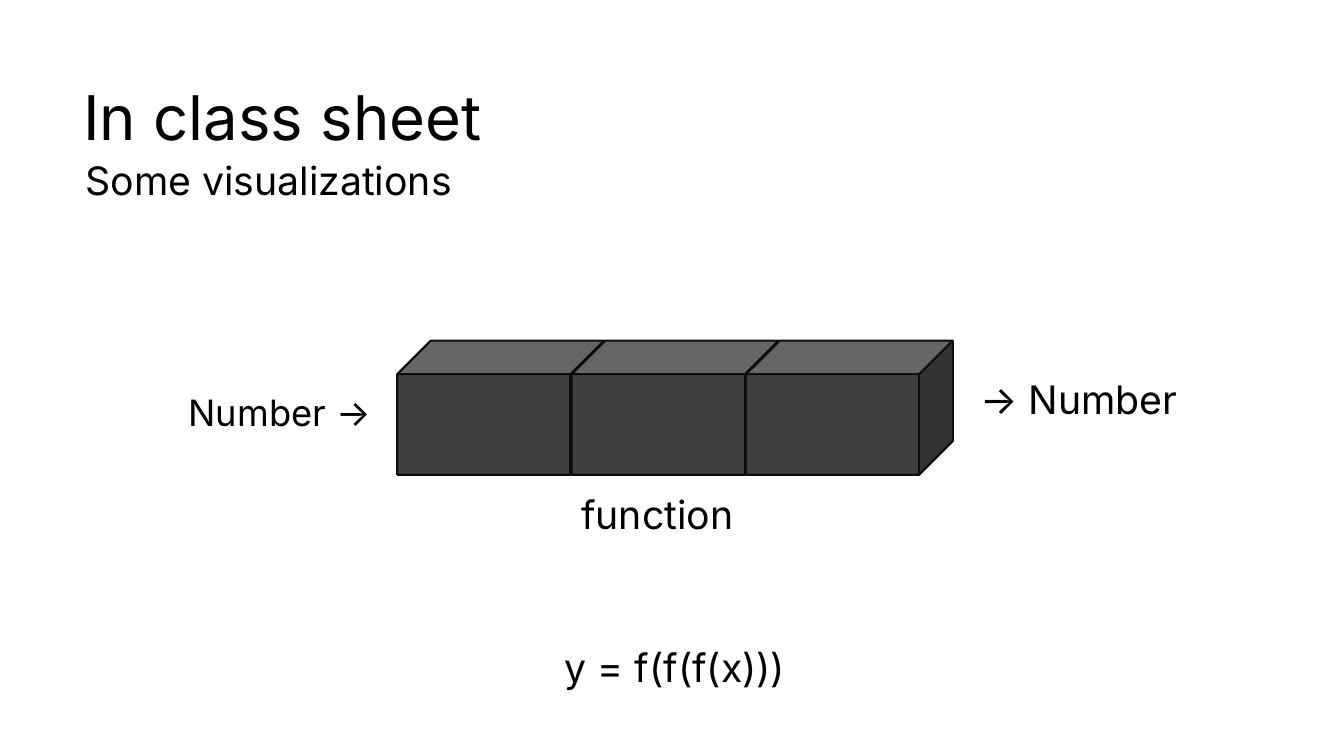
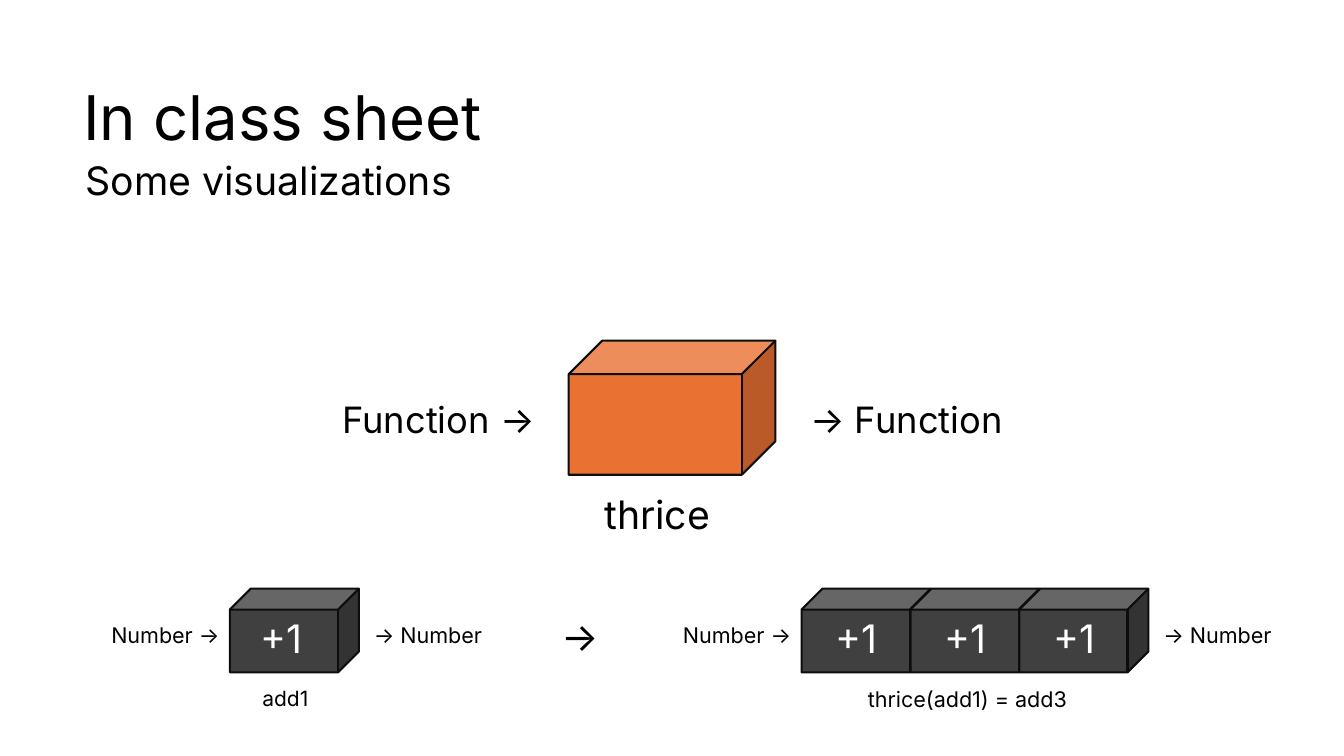
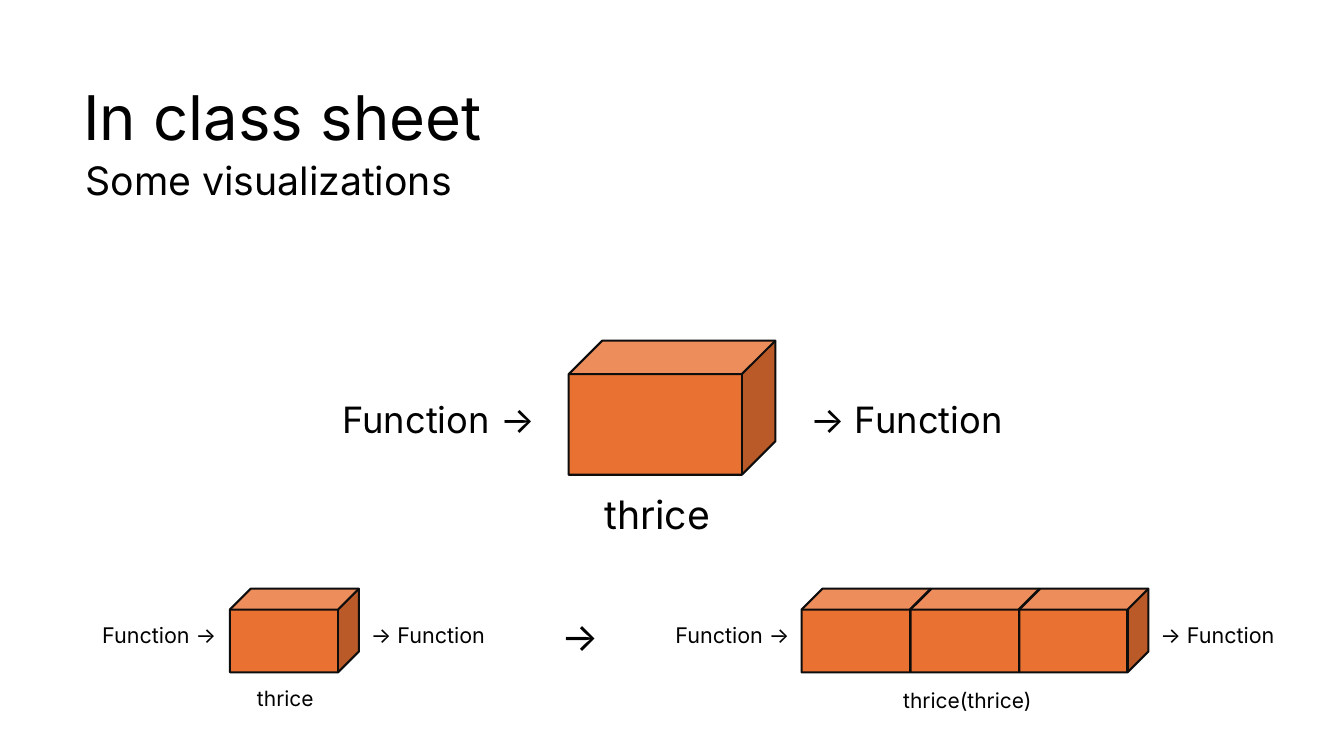
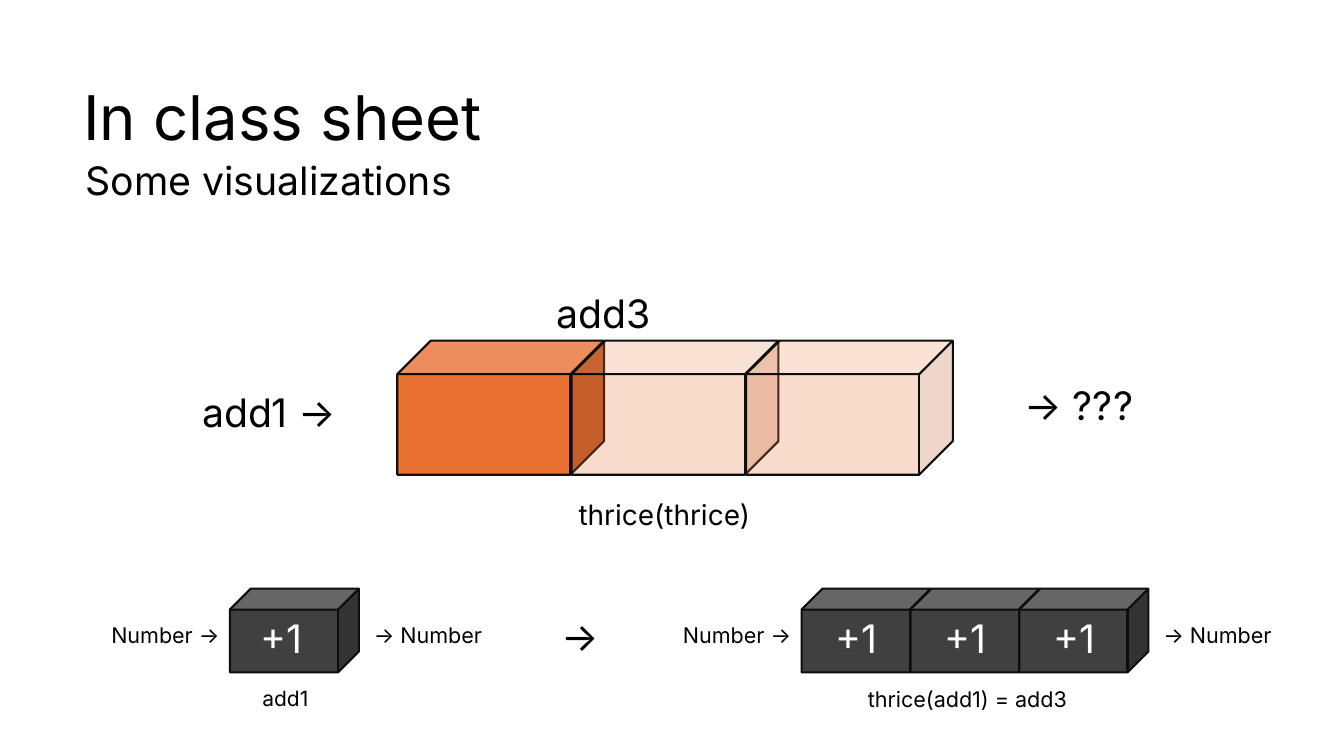
from dataclasses import dataclass
from typing import NamedTuple

from lxml import etree
from pptx import Presentation, slide as sl
from pptx.dml.color import RGBColor
from pptx.enum import shapes, text
from pptx.oxml import ns
from pptx.util import Inches, Pt


@dataclass(frozen=True)
class Theme:
    font: str = "Inter"
    paper: str = "FFFFFF"
    ink: str = "000000"
    edge: str = "0D0D0D"
    dark: str = "404040"
    orange: str = "E97132"
    title: float = 44
    large: float = 28
    body: float = 25.9
    mid: float = 20
    small: float = 15.4
    name: float = 15
    loose: float = 0.9
    tight: float = 0.7
    border: float = 1.5


LOOK = Theme()


class Box(NamedTuple):
    left: float
    top: float
    width: float
    height: float


@dataclass(frozen=True)
class Label:
    words: str
    box: Box
    size: float
    space: float = LOOK.loose
    color: str = LOOK.ink
    center: bool = True


@dataclass(frozen=True)
class Block:
    top: float
    width: float
    height: float
    step: float


@dataclass(frozen=True)
class Demo:
    kind: str
    fill: str
    single: Label
    triple: Label
    left: Box
    mid: Box
    mark: str = ""


BIG = Block(3.38, 2.05, 1.33, 1.73)
MINI = Block(5.84, 1.28, 0.83, 1.08)
BIG_ROW = 3.94
BIG_ONE = 5.64
MINI_ONE = 2.28
MINI_ROW = 7.95
CAPTION = Box(BIG_ONE, 4.71, 1.76, 0.83)
ONE_NAME = Box(2.19, 6.68, 1.28, 0.52)
ROW_NAME = Box(8.4, 6.7, 2.39, 0.52)

HEAD = (
    Label("In class sheet", Box(0.73, 0.43, 11.83, 1.54), LOOK.title, center=False),
    Label("Some visualizations", Box(0.75, 1.4, 11.83, 0.83), LOOK.large, center=False),
)
ADD = Demo(
    "Number", LOOK.dark,
    Label("add1", ONE_NAME, LOOK.name),
    Label("thrice(add1) = add3", ROW_NAME, LOOK.small, LOOK.tight),
    Box(1, 6.07, 1.28, 0.52), Box(6.67, 6.07, 1.28, 0.52), "+1",
)
THRICE = Demo(
    "Function", LOOK.orange,
    Label("thrice", ONE_NAME, LOOK.name),
    Label("thrice(thrice)", ROW_NAME, LOOK.name),
    Box(0.88, 6.07, 1.4, 0.52), Box(6.58, 6.07, 1.37, 0.52),
)


def write(page: sl.Slide, *labels: Label) -> None:
    for label in labels:
        frame = page.shapes.add_textbox(*map(Inches, label.box)).text_frame
        frame.word_wrap = True
        frame.vertical_anchor = text.MSO_ANCHOR.MIDDLE
        frame.text = label.words
        para = frame.paragraphs[0]
        para.alignment = text.PP_ALIGN.CENTER if label.center else text.PP_ALIGN.LEFT
        para.line_spacing = label.space
        font = para.runs[0].font
        font.name = LOOK.font
        font.size = Pt(label.size)
        font.color.rgb = RGBColor.from_string(label.color)


def cube(page: sl.Slide, block: Block, left: float, fill: str, alpha: int = 100) -> None:
    shape = page.shapes.add_shape(
        shapes.MSO_SHAPE.CUBE,
        *map(Inches, (left, block.top, block.width, block.height)),
    )
    shape.shadow.inherit = False
    shape.fill.solid()
    shape.fill.fore_color.rgb = RGBColor.from_string(fill)
    shape.line.color.rgb = RGBColor.from_string(LOOK.edge)
    shape.line.width = Pt(LOOK.border)
    if alpha < 100:
        color = shape.element.spPr.find(ns.qn("a:solidFill"))[0]
        etree.SubElement(color, ns.qn("a:alpha"), val=str(alpha * 1000))


def row(page: sl.Slide, block: Block, left: float, fill: str,
        alphas: tuple[int, ...] = (100, 100, 100)) -> None:
    for i, alpha in enumerate(alphas):
        cube(page, block, left + i * block.step, fill, alpha)


def demo(page: sl.Slide, item: Demo) -> None:
    cube(page, MINI, MINI_ONE, item.fill)
    row(page, MINI, MINI_ROW, item.fill)
    for box in (item.left, item.mid):
        write(page, Label(f"{item.kind} ->", box, LOOK.small, LOOK.tight))
    for left in (3.56, 11.39):
        box = Box(left, 6.07, 1.37, 0.52)
        write(page, Label(f"-> {item.kind}", box, LOOK.small, LOOK.tight))
    write(page, Label("->", Box(4.65, 5.92, 2.2, 0.83), LOOK.large))
    if item.mark:
        lefts = [2.45] + [MINI_ROW + 0.2 + i * MINI.step for i in range(3)]
        for left in lefts:
            box = Box(left, 6.1, 0.69, 0.52)
            write(page, Label(item.mark, box, LOOK.large, color=LOOK.paper))
    write(page, item.single, item.triple)


def nested(page: sl.Slide) -> None:
    row(page, BIG, BIG_ROW, LOOK.dark)
    write(
        page,
        Label("function", CAPTION, LOOK.large),
        Label("Number ->", Box(1.75, 3.7, 2.05, 0.83), LOOK.body),
        Label("-> Number", Box(9.6, 3.57, 2.2, 0.83), LOOK.large),
        Label("y = f(f(f(x)))", Box(5.5, 6.23, 2.39, 0.83), LOOK.large),
    )


def higher(page: sl.Slide, item: Demo) -> None:
    cube(page, BIG, BIG_ONE, LOOK.orange)
    write(
        page,
        Label("thrice", CAPTION, LOOK.large),
        Label("Function ->", Box(3.25, 3.77, 2.2, 0.83), LOOK.body),
        Label("-> Function", Box(7.89, 3.77, 2.2, 0.83), LOOK.body),
    )
    demo(page, item)


def puzzle(page: sl.Slide) -> None:
    demo(page, ADD)
    row(page, BIG, BIG_ROW, LOOK.orange, (100, 25, 25))
    write(
        page,
        Label("thrice(thrice)", CAPTION._replace(left=5.61, width=1.96), LOOK.mid),
        Label("add1 ->", Box(1.54, 3.7, 2.26, 0.83), LOOK.large),
        Label("-> ???", Box(9.6, 3.63, 2.2, 0.83), LOOK.large),
        Label("add3", Box(4.86, 2.72, 2.26, 0.83), LOOK.large),
    )


def main() -> None:
    deck = Presentation()
    deck.slide_width = Inches(13.33)
    deck.slide_height = Inches(7.5)
    pages = [deck.slides.add_slide(deck.slide_layouts[6]) for _ in range(4)]
    for page in pages:
        write(page, *HEAD)
    nested(pages[0])
    higher(pages[1], ADD)
    higher(pages[2], THRICE)
    puzzle(pages[3])
    deck.save("out.pptx")


if __name__ == "__main__":
    main()
